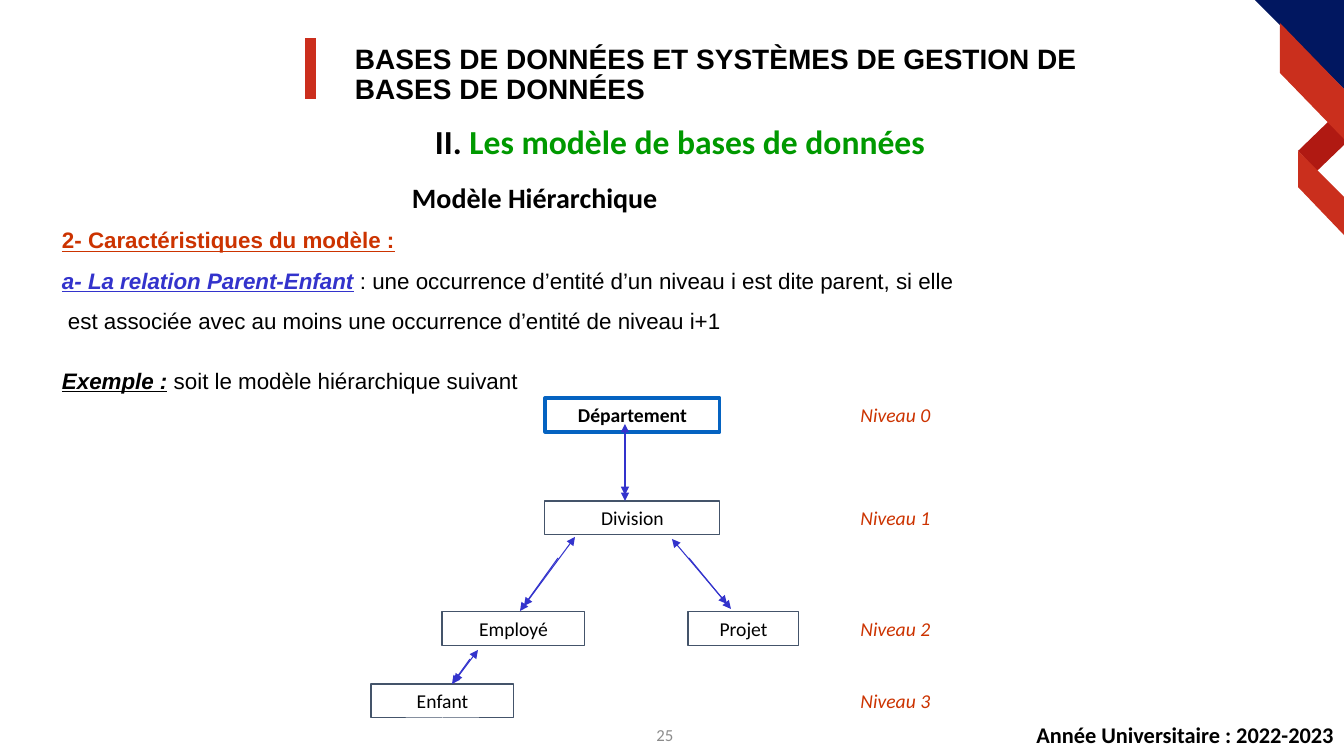
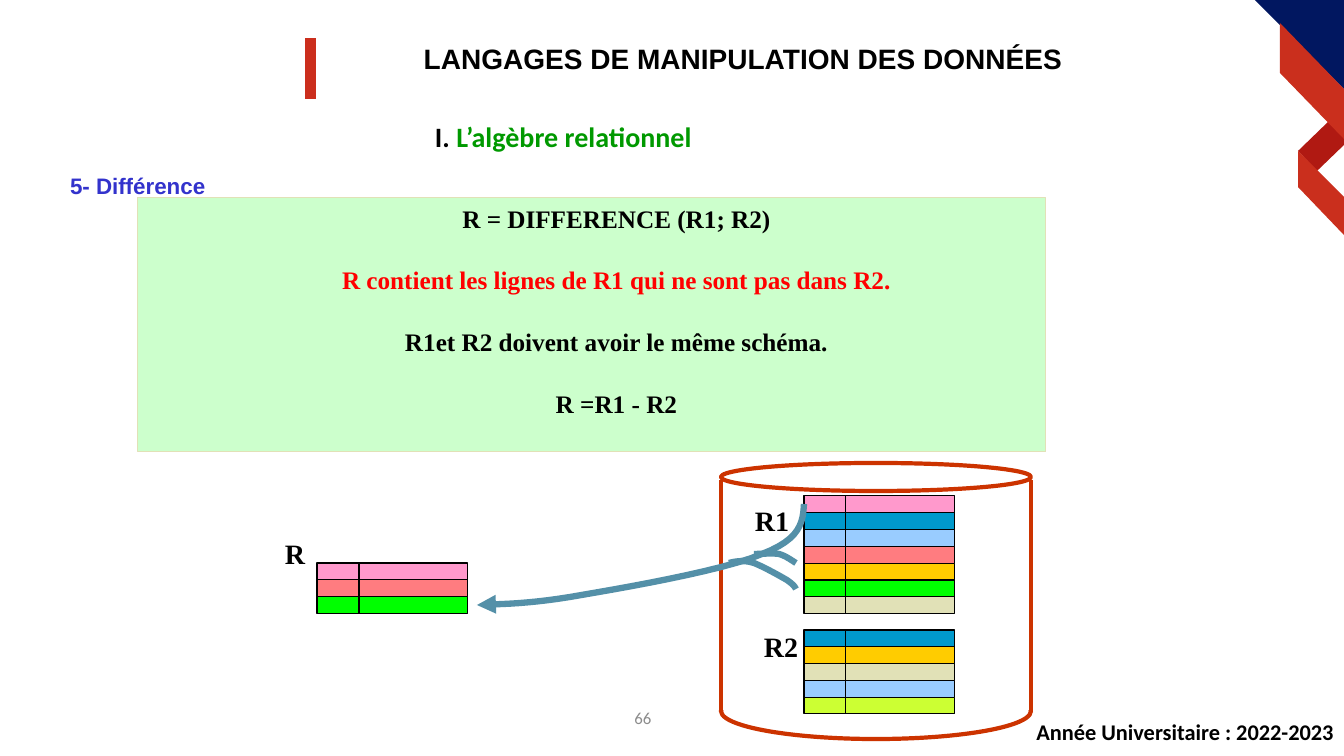
"""Build two database course slides: the hierarchical model and relational difference."""
from itertools import zip_longest

from lxml import etree
from pptx import Presentation
from pptx import util as u
from pptx.dml.color import RGBColor
from pptx.enum import shapes, text
from pptx.oxml.ns import qn

SCALE = 914400 / 100.8
COLORS = {
    "black": "000000", "white": "FFFFFF", "gray": "8C8C8C", "navy": "011760",
    "crimson": "CA2F1D", "dark_red": "B01912", "bar": "CB2E1D", "green": "009900",
    "rust": "CC3300", "violet": "3333CC", "blue": "0563C1", "slate": "44546A",
    "red": "FF0000", "mint": "CCFFCC", "sand": "E1E1B7", "teal": "5490A8",
    "pink": "FF99CC", "ocean": "0099CC", "sky": "99CCFF", "salmon": "FF7C80",
    "gold": "FFCC00", "lime": "00FF00", "citron": "CCFF33",
}
LEFT, CENTER, RIGHT = text.PP_ALIGN.LEFT, text.PP_ALIGN.CENTER, text.PP_ALIGN.RIGHT
TOP, MIDDLE = text.MSO_ANCHOR.TOP, text.MSO_ANCHOR.MIDDLE
RECT, OVAL = shapes.MSO_SHAPE.RECTANGLE, shapes.MSO_SHAPE.OVAL

RIBBONS = [
    ("dark_red", [(1298, 151), (1329, 121), (1344, 138), (1344, 145), (1317, 171)]),
    ("navy", [(1255, 0), (1344, 0), (1344, 89)]),
    ("crimson", [(1298, 151), (1344, 197), (1344, 235), (1298, 187)]),
    ("crimson", [(1280, 23), (1344, 89), (1344, 139), (1280, 73)]),
]
YEAR = "Année Universitaire : 2022-2023"

HIERARCHY = {
    "title": "BASES DE DONNÉES ET SYSTÈMES DE GESTION DE BASES DE DONNÉES",
    "align": LEFT,
    "heading": ("II. ", "Les modèle de bases de données"),
    "heading_size": 24, "heading_y": 141,
    "number": "25", "number_at": (665, 735), "year_y": 735,
}
MODEL_TEXT = [
    [("2- Caractéristiques du modèle :", {"color": "rust", "bold": True, "underline": True})],
    [("a- La relation Parent-Enfant",
      {"color": "violet", "bold": True, "italic": True, "underline": True}),
     (" : une occurrence d’entité d’un niveau i est dite parent, si elle "
      "est associée avec au moins une occurrence d’entité de niveau i+1", {})],
    [("Exemple :", {"bold": True, "italic": True, "underline": True}),
     (" soit le modèle hiérarchique suivant", {})],
]
LEVEL_TOPS = [398, 501, 612, 684]
NODES = [
    ("Département", 0, 545, 175, "blue", 2.25),
    ("Division", 1, 545, 175, "slate", 0.75),
    ("Employé", 2, 442, 143, "slate", 0.75),
    ("Projet", 2, 688, 111, "slate", 0.75),
    ("Enfant", 3, 371, 143, "slate", 0.75),
]
TWO_WAY_LINKS = [(625, 424, 625, 495), (575, 537, 524, 606),
                 (672, 539, 727, 604), (478, 650, 454, 682)]
ONE_WAY_LINKS = [(625, 446, 625, 501), (558, 558, 520, 611),
                 (689, 558, 731, 609), (470, 659, 452, 684)]

DIFFERENCE = {
    "title": "LANGAGES DE MANIPULATION DES DONNÉES",
    "align": CENTER,
    "heading": ("I. ", "L’algèbre relationnel"),
    "heading_size": 20, "heading_y": 136,
    "number": "66", "number_at": (643, 718), "year_y": 732,
}
RULES = [
    [("R = DIFFERENCE (R1; R2)", {})],
    [("R contient les lignes de R1 qui ne sont pas dans R2.", {"color": "red"})],
    [("R1et R2 doivent avoir le même schéma.", {})],
    [("R =R1 - R2", {})],
]
ROW_HEIGHT, ROW_WIDTH, KEY_WIDTH = 84 / 5, 151, 42
RELATIONS = [
    ("R1", (755, 520), (804, 496),
     ["pink", "ocean", "sky", "salmon", "gold", "lime", "sand"]),
    ("R2", (764, 646), (804, 630), ["ocean", "gold", "sand", "sky", "citron"]),
    ("R", (285, 553), (317, 563), ["pink", "salmon", "lime"]),
]
FLOWS = [
    ([(804, 504), (803, 522), (801, 539), (762, 554), (723, 571), (617, 589), (570, 597),
      (521, 605), (492, 604), (477, 605)], True),
    ([(796, 563), (791, 560), (786, 556), (779, 554), (772, 553), (763, 554), (754, 554)],
     False),
    ([(796, 589), (795, 587), (794, 585), (787, 580), (780, 576), (764, 567), (754, 563),
      (744, 560), (737, 561), (729, 563)], False),
]


def px(value):
    return u.Emu(round(value * SCALE))


def rgb(name):
    return RGBColor.from_string(COLORS[name])


def fill_text(frame, paras, font="Calibri", size=16, color="black", bold=False,
              italic=False, align=LEFT, anchor=MIDDLE, inset=(0, 0), spacing=None,
              gaps=(), margin=0, indent=0, wrap=True):
    frame.word_wrap = wrap
    frame.auto_size = text.MSO_AUTO_SIZE.NONE
    frame.vertical_anchor = anchor
    frame.margin_left = frame.margin_right = px(inset[0])
    frame.margin_top = frame.margin_bottom = px(inset[1])
    if isinstance(paras, str):
        paras = [[(paras, {})]]
    for index, (spans, gap) in enumerate(zip_longest(paras, gaps, fillvalue=0)):
        para = frame.paragraphs[0] if index == 0 else frame.add_paragraph()
        para.alignment = align
        para.space_before = u.Pt(gap)
        if spacing:
            para.line_spacing = spacing
        if margin or indent:
            props = para._p.get_or_add_pPr()
            props.set("marL", str(px(margin)))
            props.set("indent", str(px(indent)))
        for words, own in spans:
            span = para.add_run()
            span.text = words
            span.font.name = font
            span.font.size = u.Pt(size)
            span.font.bold = own.get("bold", bold)
            span.font.italic = own.get("italic", italic)
            span.font.underline = own.get("underline", False)
            span.font.color.rgb = rgb(own.get("color", color))


def add_text(page, x, y, width, height, paras, **style):
    box = page.shapes.add_textbox(px(x), px(y), px(width), px(height))
    fill_text(box.text_frame, paras, **style)


def add_label(page, x, center_y, width, words, **style):
    add_text(page, x, center_y - 20, width, 40, words, **style)


def paint(shape, fill=None, line=None, weight=0.75):
    shape.shadow.inherit = False
    if fill:
        shape.fill.solid()
        shape.fill.fore_color.rgb = rgb(fill)
    else:
        shape.fill.background()
    if line:
        shape.line.color.rgb = rgb(line)
        shape.line.width = u.Pt(weight)
    else:
        shape.line.fill.background()


def add_box(page, kind, x, y, width, height, **look):
    box = page.shapes.add_shape(kind, px(x), px(y), px(width), px(height))
    paint(box, **look)
    return box


def add_ends(shape, *ends):
    outline = shape.element.spPr.find(qn("a:ln"))
    for end in ends:
        etree.SubElement(outline, qn("a:" + end)).set("type", "triangle")


def add_line(page, x1, y1, x2, y2, color, weight=0.75, ends=()):
    line = page.shapes.add_connector(shapes.MSO_CONNECTOR.STRAIGHT,
                                     px(x1), px(y1), px(x2), px(y2))
    line.line.color.rgb = rgb(color)
    line.line.width = u.Pt(weight)
    add_ends(line, *ends)
    etree.SubElement(line.element.spPr, qn("a:effectLst"))


def add_outline(page, points, closed=True, **look):
    corners = [(px(x), px(y)) for x, y in points]
    builder = page.shapes.build_freeform(*corners[0], scale=1.0)
    builder.add_line_segments(corners[1:], close=closed)
    outline = builder.convert_to_shape()
    paint(outline, **look)
    return outline


def bezier_points(controls, steps=12):
    points = [controls[0]]
    for start in range(0, len(controls) - 1, 3):
        curve = controls[start:start + 4]
        for step in range(1, steps + 1):
            t = step / steps
            weights = ((1 - t) ** 3, 3 * t * (1 - t) ** 2, 3 * t * t * (1 - t), t ** 3)
            points.append(tuple(sum(w * p[axis] for w, p in zip(weights, curve))
                                for axis in (0, 1)))
    return points


def start_page(deck, info):
    page = deck.slides.add_slide(deck.slide_layouts[5])
    for color, points in RIBBONS:
        add_outline(page, points, fill=color)
    add_box(page, RECT, 305, 38, 11, 61, fill="bar")
    title = page.shapes.title
    title.left, title.top, title.width, title.height = map(px, (345, 40, 796, 65))
    fill_text(title.text_frame, info["title"], font="Arial", size=20, bold=True,
              align=info["align"], anchor=TOP, inset=(10, 5), spacing=0.9)
    numeral, topic = info["heading"]
    add_label(page, 435, info["heading_y"], 700, [[(numeral, {}), (topic, {"color": "green"})]],
              size=info["heading_size"], bold=True)
    add_label(page, 1000, info["year_y"], 334, YEAR, bold=True, align=RIGHT)
    return page


def add_number(page, info):
    center_x, center_y = info["number_at"]
    add_label(page, center_x - 50, center_y, 100, info["number"],
              size=12, color="gray", align=CENTER)


def build_hierarchy(deck):
    page = start_page(deck, HIERARCHY)
    add_label(page, 412, 197, 300, "Modèle Hiérarchique", size=20, bold=True)
    add_text(page, 62, 213, 905, 185, MODEL_TEXT, font="Arial", anchor=TOP,
             spacing=1.5, gaps=(0, 0, 14), margin=6, indent=-6)
    for name, level, x, width, color, weight in NODES:
        node = add_box(page, RECT, x, LEVEL_TOPS[level], width, 34, line=color, weight=weight)
        fill_text(node.text_frame, name, size=14, bold=level == 0, align=CENTER)
    for link in TWO_WAY_LINKS:
        add_line(page, *link, "violet", ends=("headEnd", "tailEnd"))
    for link in ONE_WAY_LINKS:
        add_line(page, *link, "violet", ends=("tailEnd",))
    for level, top in enumerate(LEVEL_TOPS):
        add_label(page, 824, top + 17, 143, f"Niveau {level}", size=14, color="rust",
                  italic=True, align=CENTER)
    add_number(page, HIERARCHY)


def add_cylinder(page, x, width):
    rim = {"fill": "white", "line": "rust", "weight": 3}
    add_box(page, OVAL, x, 683, width, 56, **rim)
    add_box(page, RECT, x, 671, width, 39, fill="white")
    add_box(page, OVAL, x, 463, width, 28, **rim)
    for side in (x, x + width):
        add_line(page, side, 480, side, 712, "rust", weight=3)


def build_difference(deck):
    page = start_page(deck, DIFFERENCE)
    add_label(page, 70, 186, 400, "5- Différence", font="Arial", color="violet", bold=True)
    panel = add_box(page, RECT, 138, 198, 908, 254, fill="mint", line="sand")
    fill_text(panel.text_frame, RULES, font="Times New Roman", size=18, bold=True,
              align=CENTER, anchor=TOP, inset=(10, 5), gaps=(0, 22.5, 22.5, 22.5), indent=49)
    add_cylinder(page, 721, 310)
    for name, (label_x, label_y), (x, top), rows in RELATIONS:
        for index, color in enumerate(rows):
            y = top + index * ROW_HEIGHT
            add_box(page, RECT, x, y, ROW_WIDTH, ROW_HEIGHT, fill=color, line="black")
        add_line(page, x + KEY_WIDTH, top, x + KEY_WIDTH, top + len(rows) * ROW_HEIGHT, "black")
        add_label(page, label_x, label_y, 60, name, font="Times New Roman", size=20, bold=True)
    for controls, arrow in FLOWS:
        flow = add_outline(page, bezier_points(controls), closed=False, line="teal", weight=4.5)
        if arrow:
            add_ends(flow, "tailEnd")
    add_number(page, DIFFERENCE)


def main():
    deck = Presentation()
    deck.slide_width, deck.slide_height = px(1344), px(756)
    build_hierarchy(deck)
    build_difference(deck)
    deck.save("out.pptx")


if __name__ == "__main__":
    main()
